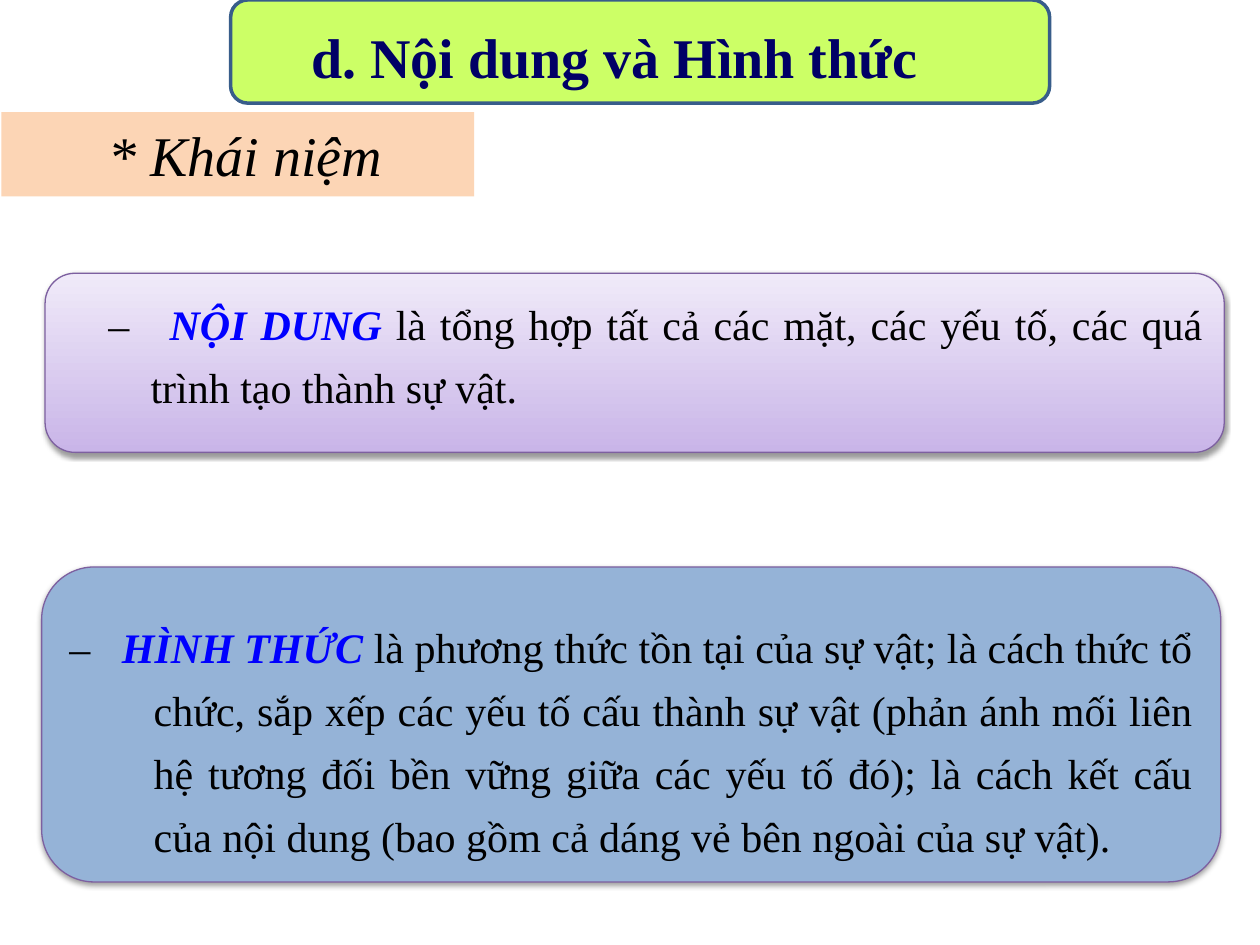
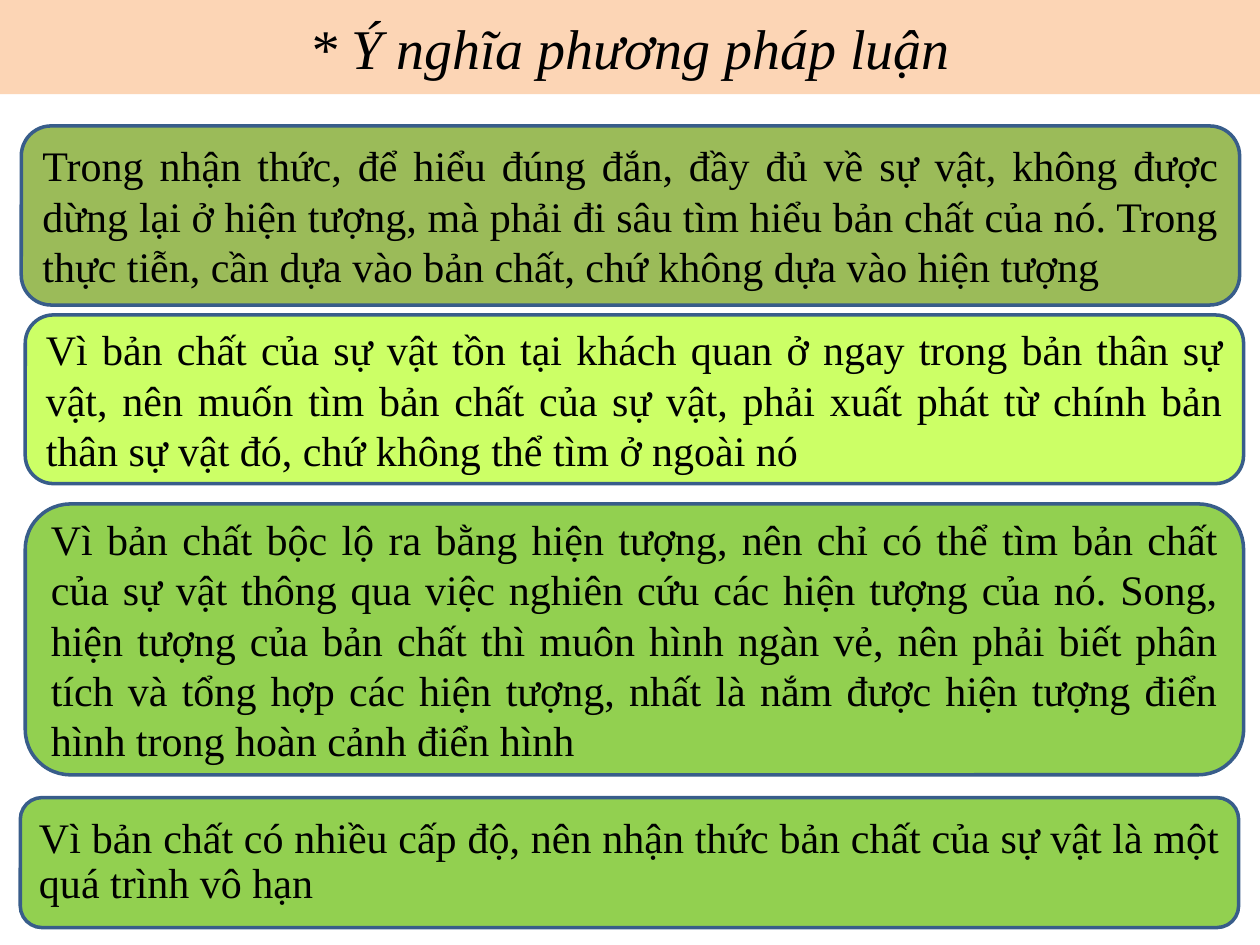
from lxml import etree
from pptx import Presentation
from pptx.dml.color import RGBColor as Rgb
from pptx.enum.shapes import MSO_SHAPE as Kind
from pptx.enum.text import MSO_ANCHOR as Anchor, PP_ALIGN as Align
from pptx.oxml.ns import qn
from pptx.util import Cm, Pt

FONT = "Times New Roman"
HUES = {
    "lime": "CCFF66", "peach": "FCD5B5", "olive": "9BBB59", "green": "92D050",
    "blue": "95B3D7", "lilac": "C9B5E8", "mist": "F0EAF9", "edge": "385D8A",
    "plum": "7D60A0", "navy": "000066", "key": "0000FF", "ink": "000000",
}

# Content: places are left, top, width, height in cm
BANNER = ("d. Nội dung và Hình thức", (4.65, 0, 16.51, 2.08))
HEADS = [
    ("* Khái niệm", (0.03, 2.26, 9.53, 1.7), 0.56),
    ("* Ý nghĩa phương pháp luận", (0, 0, 25.4, 1.9), 0.25),
]
# Term, meaning, place, fill, first indent, gap after dash (pt), top and bottom inset
TERMS = [
    ("NỘI DUNG",
     " là tổng hợp tất cả các mặt, các yếu tố, các quá trình tạo thành sự vật.",
     (0.91, 5.51, 23.77, 3.61), ("lilac", "mist"), -0.85, 15, (0.13, 0.7)),
    ("HÌNH THỨC",
     " là phương thức tồn tại của sự vật; là cách thức tổ chức, sắp xếp các yếu tố "
     "cấu thành sự vật (phản ánh mối liên hệ tương đối bền vững giữa các yếu tố đó); "
     "là cách kết cấu của nội dung (bao gồm cả dáng vẻ bên ngoài của sự vật).",
     (0.84, 11.43, 23.77, 6.35), ("blue",), -1.7, 12, (0.55, 0.13)),
]
# Text, place, fill, line spacing
RULES = [
    ("Trong nhận thức, để hiểu đúng đắn, đầy đủ về sự vật, không được dừng lại ở hiện "
     "tượng, mà phải đi sâu tìm hiểu bản chất của nó. Trong thực tiễn, cần dựa vào bản "
     "chất, chứ không dựa vào hiện tượng",
     (0.43, 2.54, 24.56, 3.61), "olive", 1),
    ("Vì bản chất của sự vật tồn tại khách quan ở ngay trong bản thân sự vật, nên muốn "
     "tìm bản chất của sự vật, phải xuất phát từ chính bản thân sự vật đó, chứ không "
     "thể tìm ở ngoài nó",
     (0.51, 6.35, 24.56, 3.4), "lime", 1),
    ("Vì bản chất bộc lộ ra bằng hiện tượng, nên chỉ có thể tìm bản chất của sự vật "
     "thông qua việc nghiên cứu các hiện tượng của nó. Song, hiện tượng của bản chất "
     "thì muôn hình ngàn vẻ, nên phải biết phân tích và tổng hợp các hiện tượng, nhất "
     "là nắm được hiện tượng điển hình trong hoàn cảnh điển hình",
     (0.51, 10.16, 24.56, 5.46), "green", 1),
    ("Vì bản chất có nhiều cấp độ, nên nhận thức bản chất của sự vật là một quá trình "
     "vô hạn",
     (0.41, 16.08, 24.56, 2.62), "green", 0.9),
]


def hue(name):
    return Rgb.from_string(HUES[name])


def add_box(slide, place, fills, edge=None, width=2, kind=Kind.ROUNDED_RECTANGLE):
    box = slide.shapes.add_shape(kind, *map(Cm, place))
    box.shadow.inherit = False
    if len(fills) == 2:
        box.fill.gradient()
        box.fill.gradient_angle = 90
        for stop, name in zip(box.fill.gradient_stops, fills):
            stop.color.rgb = hue(name)
    else:
        box.fill.solid()
        box.fill.fore_color.rgb = hue(fills[0])
    if edge:
        box.line.color.rgb = hue(edge)
        box.line.width = Pt(width)
    else:
        box.line.fill.background()
    box.text_frame.word_wrap = True
    box.text_frame.vertical_anchor = Anchor.MIDDLE
    return box


def style(font, size, color="ink", bold=False, italic=False):
    font.name, font.size = FONT, Pt(size)
    font.color.rgb = hue(color)
    font.bold, font.italic = bold, italic


def write(box, text, align, size, **look):
    par = box.text_frame.paragraphs[0]
    par.text = text
    par.alignment = align
    style(par.runs[0].font, size, **look)
    return par


def indent(par, left, first=0):
    props = par._p.get_or_add_pPr()
    props.set("marL", str(Cm(left)))
    props.set("indent", str(Cm(first)))


def add_shade(box):
    effects = box._element.spPr.find(qn("a:effectLst"))
    shade = etree.SubElement(effects, qn("a:outerShdw"), blurRad="40000",
                             dist=str(Pt(1.6)), dir="5400000", rotWithShape="0")
    tone = etree.SubElement(shade, qn("a:srgbClr"), val=HUES["ink"])
    etree.SubElement(tone, qn("a:alpha"), val="38000")


def add_head(slide, text, place, left):
    box = add_box(slide, place, ["peach"], kind=Kind.RECTANGLE)
    box.text_frame.margin_left = Cm(left)
    write(box, text, Align.CENTER, 32, italic=True)


def add_term(slide, term, sense, place, fills, first, gap, pads):
    box = add_box(slide, place, fills, "plum", 0.75)
    add_shade(box)
    frame = box.text_frame
    frame.margin_top, frame.margin_bottom = map(Cm, pads)
    par = write(box, "–", Align.JUSTIFY, 24)
    indent(par, 1.7, first)
    par.line_spacing = 1.25
    for text, look in [(" ", {}), (term, dict(color="key", bold=True, italic=True)),
                       (sense, {})]:
        run = par.add_run()
        run.text = text
        style(run.font, 24, **look)
    # Widen the space after the dash
    par.runs[1]._r.get_or_add_rPr().set("spc", str(gap * 100))


def main():
    deck = Presentation()
    deck.slide_width, deck.slide_height = Cm(25.4), Cm(19.05)
    pages = [deck.slides.add_slide(deck.slide_layouts[6]) for _ in HEADS]
    for page, head in zip(pages, HEADS):
        add_head(page, *head)

    # Concepts
    text, place = BANNER
    box = add_box(pages[0], place, ["lime"], "edge")
    box.text_frame.margin_top = Cm(0.3)
    indent(write(box, text, Align.LEFT, 32, color="navy", bold=True), 1.27)
    for term in TERMS:
        add_term(pages[0], *term)

    # Lessons of method
    for text, place, fill, gap in RULES:
        box = add_box(pages[1], place, [fill], "edge")
        write(box, text, Align.JUSTIFY, 24).line_spacing = gap

    deck.save("out.pptx")


if __name__ == "__main__":
    main()
